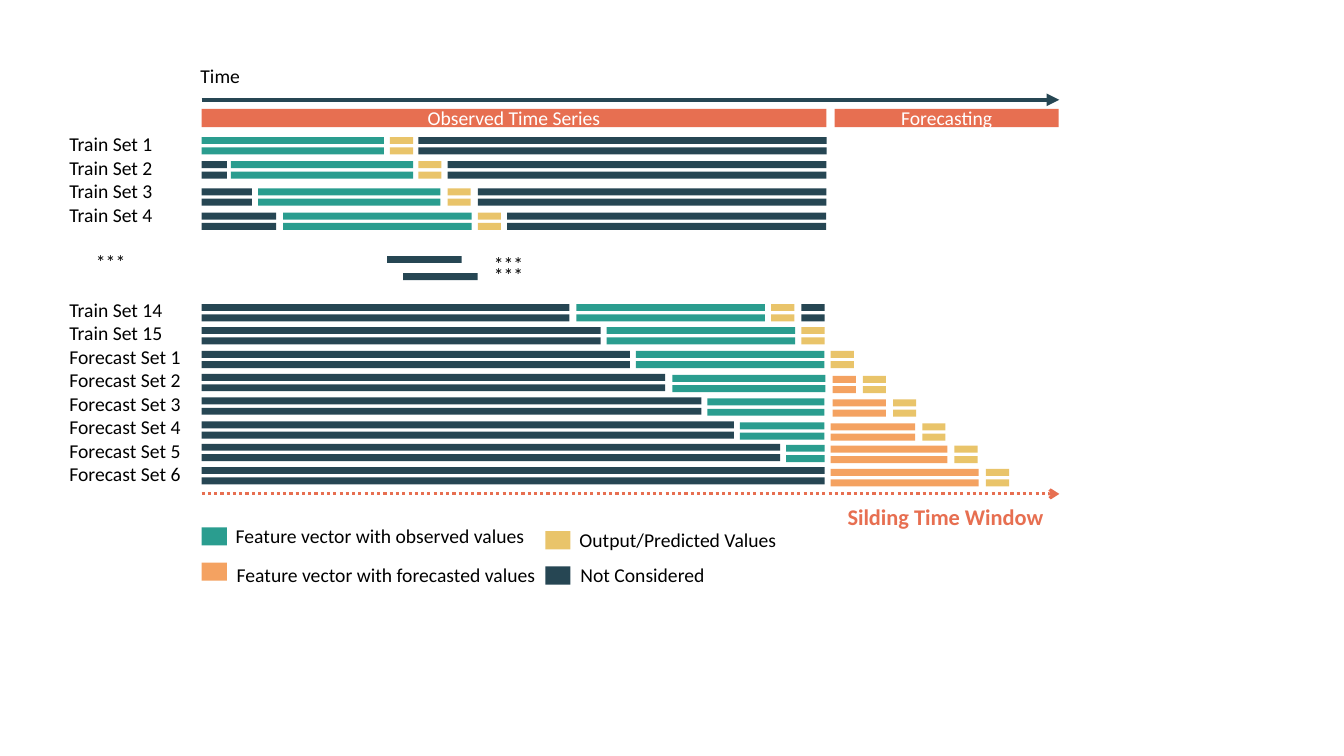
"""Build a slide that shows sliding-window training and forecast sets along a time axis."""
from pptx import Presentation
from pptx import util as u
from pptx.dml import color
from pptx.enum import dml, shapes, text
from pptx.oxml import parse_xml
from pptx.oxml.ns import nsdecls

rgb = color.RGBColor.from_string
TEAL, ORANGE, YELLOW, NAVY, CORAL = "2A9D8F", "F4A261", "E9C46A", "264653", "E76F51"
BLACK, WHITE = "000000", "FFFFFF"
LEFT, BAR_HEIGHT, BAR_PITCH, OUTPUT_WIDTH = 144, 5, 7.4, 16.6
LINE_HEIGHT = 17.1

deck = Presentation()
deck.slide_width, deck.slide_height = u.Pt(960), u.Pt(540)
page = deck.slides.add_slide(deck.slide_layouts[6])


def add_bar(left, top, width, height, fill):
    bar = page.shapes.add_shape(
        shapes.MSO_SHAPE.RECTANGLE, u.Pt(left), u.Pt(top), u.Pt(width), u.Pt(height))
    bar.shadow.inherit = False
    bar.fill.solid()
    bar.fill.fore_color.rgb = rgb(fill)
    bar.line.fill.background()
    return bar


def write(box, lines, fill=BLACK, size=14, bold=False, align=text.PP_ALIGN.LEFT):
    frame = box.text_frame
    frame.word_wrap = True
    for index, line in enumerate(lines):
        para = frame.add_paragraph() if index else frame.paragraphs[0]
        para.alignment = align
        span = para.add_run()
        span.text = line
        for name, value in {"name": "Calibri", "size": u.Pt(size), "bold": bold}.items():
            setattr(span.font, name, value)
        span.font.color.rgb = rgb(fill)
    return frame


for top, hue, weight, dash, head in [
        (71.3, NAVY, 3, dml.MSO_LINE.SOLID, "triangle"),
        (352.8, CORAL, 2.25, dml.MSO_LINE.ROUND_DOT, "arrow")]:
    axis = page.shapes.add_connector(
        shapes.MSO_CONNECTOR.STRAIGHT, u.Pt(LEFT), u.Pt(top), u.Pt(756.7), u.Pt(top))
    axis.line.color.rgb = rgb(hue)
    axis.line.width = u.Pt(weight)
    axis.line.dash_style = dash
    axis.line._get_or_add_ln().append(
        parse_xml(f'<a:tailEnd {nsdecls("a")} type="{head}"/>'))
    axis._element.spPr.append(parse_xml(f'<a:effectLst {nsdecls("a")}/>'))

for words, left, width in [("Observed Time Series", LEFT, 446.4),
                           ("Forecasting", 596.2, 160)]:
    header = add_bar(left, 77.8, width, 13, CORAL)
    write(header, [words], WHITE, align=text.PP_ALIGN.CENTER)
    header.text_frame.vertical_anchor = text.MSO_ANCHOR.MIDDLE

sets = [
    (97.9, 0, [(TEAL, 144, 130.3), (YELLOW, 278.6, OUTPUT_WIDTH), (NAVY, 298.8, 291.6)]),
    (115.2, 0, [(NAVY, LEFT, 18), (TEAL, 164.9, 130.3), (YELLOW, 298.8, OUTPUT_WIDTH),
                (NAVY, 319.7, 270.7)]),
    (134.6, 0, [(NAVY, LEFT, 36), (TEAL, 184.3, 130.3), (YELLOW, 319.7, OUTPUT_WIDTH),
                (NAVY, 341.3, 249.1)]),
    (151.9, 0, [(NAVY, LEFT, 53.3), (TEAL, 202.3, 134.6), (YELLOW, 341.3, OUTPUT_WIDTH),
                (NAVY, 362.2, 227.9)]),
    (217.2, 0, [(NAVY, LEFT, 262.8), (TEAL, 411.8, 134.6), (YELLOW, 550.8, OUTPUT_WIDTH),
                (NAVY, 572.4, OUTPUT_WIDTH)]),
    (233.6, 0, [(NAVY, LEFT, 285.1), (TEAL, 433.4, 134.6), (YELLOW, 572.4, OUTPUT_WIDTH)]),
    (250.6, 0, [(NAVY, LEFT, 306), (TEAL, 454.3, 134.6), (YELLOW, 593.3, OUTPUT_WIDTH)]),
    (267.1, 0.7, [(NAVY, LEFT, 331.2), (TEAL, 480.2, 109.4), (ORANGE, 594.7, 16.6),
                  (YELLOW, 616.3, OUTPUT_WIDTH)]),
    (283.9, 0.7, [(NAVY, LEFT, 357.1), (TEAL, 505.4, 83.5), (ORANGE, 594.7, 38.2),
                  (YELLOW, 637.9, OUTPUT_WIDTH)]),
    (301, 0.7, [(NAVY, LEFT, 380.2), (TEAL, 528.5, 60.5), (ORANGE, 593.3, 60.5),
                (YELLOW, 658.8, OUTPUT_WIDTH)]),
    (317, 0.7, [(NAVY, LEFT, 413.3), (TEAL, 561.6, 27.4), (ORANGE, 593.3, 83.5),
                (YELLOW, 681.8, OUTPUT_WIDTH)]),
    (333.6, 0.7, [(NAVY, LEFT, 445), (ORANGE, 593.3, 105.8), (YELLOW, 704.2, OUTPUT_WIDTH)]),
]
drift_steps = {NAVY: 0, TEAL: 1, ORANGE: 2, YELLOW: 2}
for top, drift, segments in sets:
    for hue, left, width in segments:
        for line in range(2):
            add_bar(left, top + drift * drift_steps[hue] + line * BAR_PITCH,
                    width, BAR_HEIGHT, hue)

for left, top in [(276.5, 182.9), (288, 195.1)]:
    add_bar(left, top, 53.3, BAR_HEIGHT, NAVY)

for hue, left, top in [(TEAL, LEFT, 376.6), (ORANGE, LEFT, 401.8),
                       (YELLOW, 389.5, 379.4), (NAVY, 389.5, 404.6)]:
    add_bar(left, top, 18, 13, hue)

set_names = [*(f"Train Set {n}" for n in range(1, 5)), "***", "Train Set 14", "Train Set 15",
             *(f"Forecast Set {n}" for n in range(1, 7))]
names_box = page.shapes.add_textbox(u.Pt(42.5), u.Pt(90.7), u.Pt(98.6), u.Pt(262))
names = write(names_box, set_names)
ellipsis = names.paragraphs[set_names.index("***")]
ellipsis.space_before = ellipsis.space_after = u.Pt(LINE_HEIGHT)
ellipsis._p.get_or_add_pPr().set("marL", str(u.Pt(19)))

for words, left, top, width, style in [
        ("Time", 136.1, 41.8, 51, {}),
        ("***", 345.6, 176.4, 116.6, {}),
        ("***", 345.6, 184.3, 116.6, {}),
        ("Silding Time Window", 598.3, 355.7, 160, {"fill": CORAL, "size": 16, "bold": True}),
        ("Feature vector with observed values", 161.3, 370.8, 264, {}),
        ("Feature vector with forecasted values", 162, 398.2, 229, {}),
        ("Output/Predicted Values", 406.8, 373.7, 264, {}),
        ("Not Considered", 407.5, 398.9, 106.6, {})]:
    box = page.shapes.add_textbox(u.Pt(left), u.Pt(top), u.Pt(width), u.Pt(24.5))
    write(box, [words], **style)

deck.save("out.pptx")
